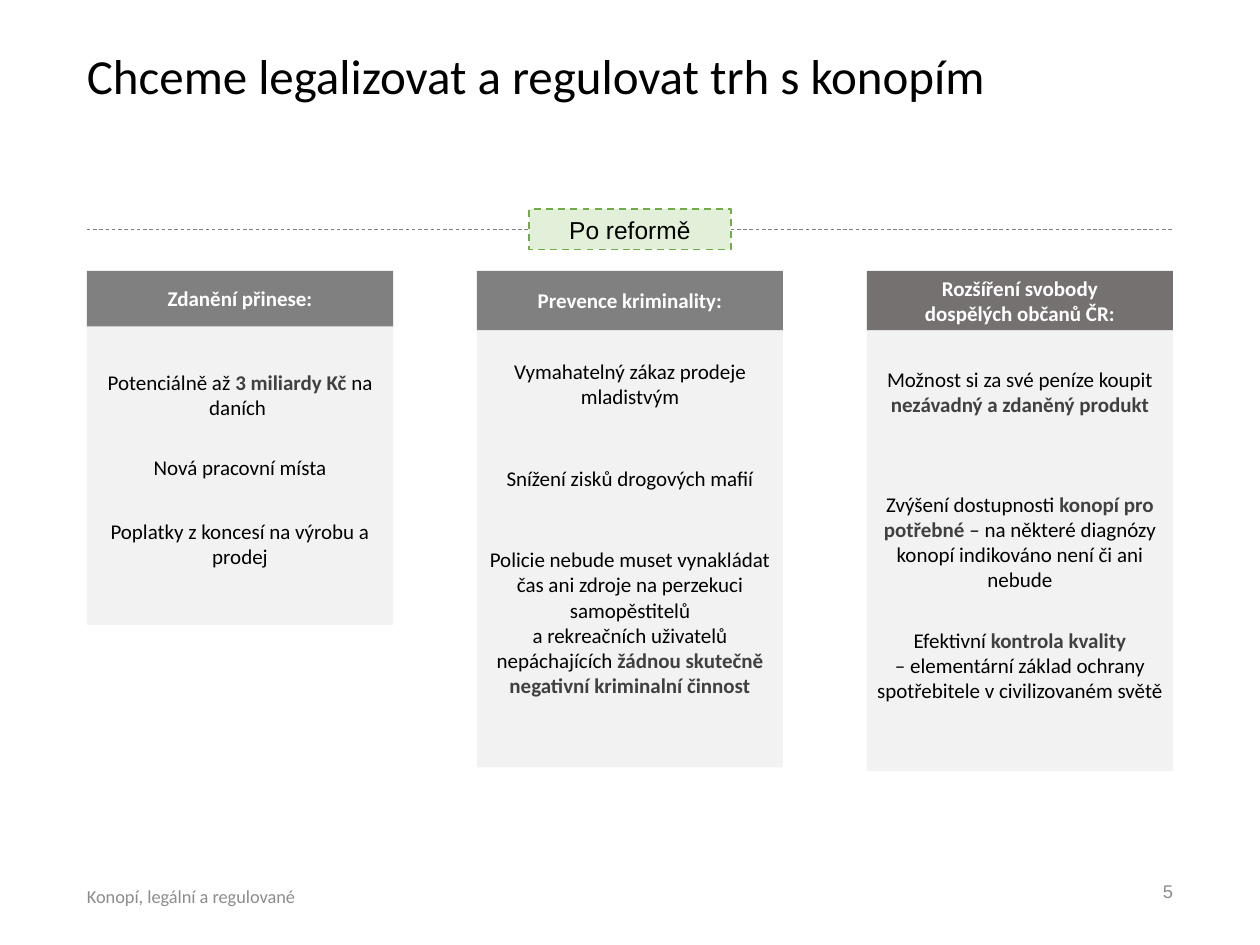
import copy
from dataclasses import dataclass

import pptx
import pptx.dml.color
import pptx.enum.dml
import pptx.enum.shapes
import pptx.enum.text
import pptx.util
from lxml import etree

PX = 9144  # EMU per px, 100 px to the inch
ALIGN = pptx.enum.text.PP_ALIGN
ANCHOR = pptx.enum.text.MSO_ANCHOR


@dataclass(frozen=True)
class Theme:
    text: str = "000000"
    strong: str = "404040"
    muted: str = "8C8C8C"
    inverse: str = "FFFFFF"
    panel: str = "F2F2F2"
    header: str = "808080"
    warm_header: str = "767171"
    rule: str = "808080"
    badge: str = "E2F0D9"
    badge_edge: str = "70AD47"
    font: str = "Calibri"
    alt_font: str = "Arial"
    title_size: float = 28
    badge_size: float = 14
    body_size: float = 12
    footer_size: float = 10.5


THEME = Theme()


def emu(*lengths):
    return [pptx.util.Emu(round(length * PX)) for length in lengths]


def rgb(value):
    return pptx.dml.color.RGBColor.from_string(value)


def write(shape, text, size=THEME.body_size, color=THEME.text, font=THEME.font,
          bold=False, align=ALIGN.CENTER, anchor=ANCHOR.MIDDLE, insets=(0, 0, 0, 0)):
    """Fill a shape with text; **marks** enclose strong words, \\n breaks a line."""
    frame = shape.text_frame
    frame.word_wrap = True
    frame.vertical_anchor = anchor
    (frame.margin_left, frame.margin_top,
     frame.margin_right, frame.margin_bottom) = emu(*insets)
    paragraph = frame.paragraphs[0]
    paragraph.alignment = align
    for i, part in enumerate(text.split("**")):
        strong = i % 2 == 1
        for j, line in enumerate(part.split("\n")):
            if j:
                paragraph.add_line_break()
                # The break takes the format of the run before it
                paragraph._p[-1].append(copy.deepcopy(run._r.rPr))
            if not line:
                continue
            run = paragraph.add_run()
            run.text = line
            run.font.name = font
            run.font.size = pptx.util.Pt(size)
            run.font.bold = bold or strong
            run.font.color.rgb = rgb(THEME.strong if strong else color)


def add_text(slide, box, text, **style):
    write(slide.shapes.add_textbox(*emu(*box)), text, **style)


def add_block(slide, box, fill):
    block = slide.shapes.add_shape(
        pptx.enum.shapes.MSO_SHAPE.RECTANGLE, *emu(*box))
    block.shadow.inherit = False
    block.fill.solid()
    block.fill.fore_color.rgb = rgb(fill)
    block.line.fill.background()
    return block


def dash(line, color, width):
    line.color.rgb = rgb(color)
    line.width = pptx.util.Pt(width)
    line.dash_style = pptx.enum.dml.MSO_LINE.DASH


def add_divider(slide, box, label):
    left, top, width, height = box
    middle = top + height / 2
    rule = slide.shapes.add_connector(
        pptx.enum.shapes.MSO_CONNECTOR.STRAIGHT,
        *emu(left, middle, left + width, middle))
    dash(rule.line, THEME.rule, 0.5)
    etree.SubElement(rule._element.spPr, pptx.oxml.ns.qn("a:effectLst"))
    badge_width = 160
    badge = add_block(
        slide, (left + (width - badge_width) / 2, top, badge_width, height), THEME.badge)
    dash(badge.line, THEME.badge_edge, 1)
    write(badge, label, size=THEME.badge_size, font=THEME.alt_font,
          insets=(10, 5, 10, 5))


def add_column(slide, box, heading, header_height, panel_top, points,
               fill=THEME.header, anchor=ANCHOR.MIDDLE):
    """Points are (offset from the column top, height, text)."""
    left, top, width, height = box
    padding = 7
    add_block(slide, (left, top + panel_top, width, height - panel_top), THEME.panel)
    header = add_block(slide, (left, top, width, header_height), fill)
    write(header, heading, color=THEME.inverse, bold=True)
    for offset, point_height, text in points:
        add_text(slide, (left + padding, top + offset, width - 2 * padding, point_height),
                 text, anchor=anchor)


def add_footer(slide, box, label, number):
    left, top, width, height = box
    style = dict(size=THEME.footer_size, color=THEME.muted)
    add_text(slide, (left, top + 4, 500, height), label,
             align=ALIGN.LEFT, insets=(0, 5, 10, 5), **style)
    number_width = 225
    add_text(slide, (left + width - number_width, top, number_width, height), number,
             align=ALIGN.RIGHT, font=THEME.alt_font, **style)


COLUMNS = [
    dict(heading="Zdanění přinese:", height=281, header_height=44, panel_top=41,
         points=[
             (81, 35, "Potenciálně až **3 miliardy Kč **na daních "),
             (138, 35, "Nová pracovní místa"),
             (199, 35, "Poplatky z koncesí na výrobu a prodej"),
         ]),
    dict(heading="Prevence kriminality:", height=394, header_height=47, panel_top=42,
         points=[
             (72, 35, "Vymahatelný zákaz prodeje mladistvým"),
             (147, 35, "Snížení zisků drogových mafií"),
             (199, 160, "Policie nebude muset vynakládat čas ani zdroje na perzekuci "
                        "samopěstitelů\na rekreačních uživatelů nepáchajících "
                        "**žádnou skutečně negativní kriminalní činnost**"),
         ]),
    dict(heading="Rozšíření svobody\ndospělých občanů ČR:", height=397,
         header_height=47, panel_top=45, fill=THEME.warm_header, anchor=ANCHOR.TOP,
         points=[
             (76, 77, "Možnost si za své peníze koupit **nezávadný a zdaněný produkt**"),
             (175, 77, "Zvýšení dostupnosti **konopí pro potřebné **– na některé "
                       "diagnózy konopí indikováno není či ani nebude"),
             (283, 77, "Efektivní **kontrola kvality\n**– elementární základ ochrany "
                       "spotřebitele v civilizovaném světě"),
         ]),
]


def main():
    deck = pptx.Presentation()
    deck.slide_width, deck.slide_height = emu(1000, 750)
    slide = deck.slides.add_slide(deck.slide_layouts[6])
    left, width = 69, 862

    # Title
    add_text(slide, (left, 35, width, 48), "Chceme legalizovat a regulovat trh s konopím",
             size=THEME.title_size, align=ALIGN.LEFT, anchor=ANCHOR.BOTTOM)

    # Dashed rule with its badge
    add_divider(slide, (left, 166, width, 32), "Po reformě")

    # Three columns, spread evenly over the content width
    column_width = 243
    step = (width - column_width) / (len(COLUMNS) - 1)
    for i, column in enumerate(COLUMNS):
        content = dict(column)
        box = (left + i * step, 215, column_width, content.pop("height"))
        add_column(slide, box, **content)

    # Footer
    add_footer(slide, (left, 687, width, 40), "Konopí, legální a regulované", "5")

    deck.save("out.pptx")


if __name__ == "__main__":
    main()
